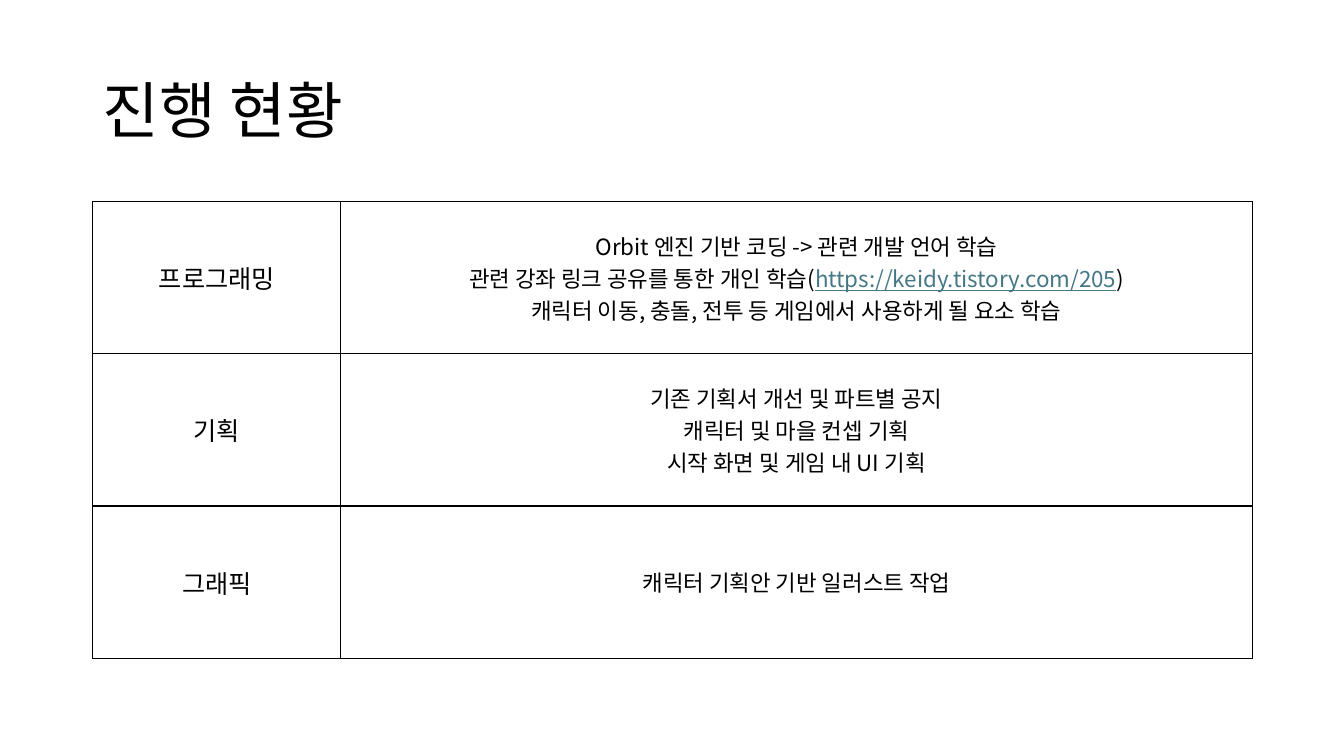
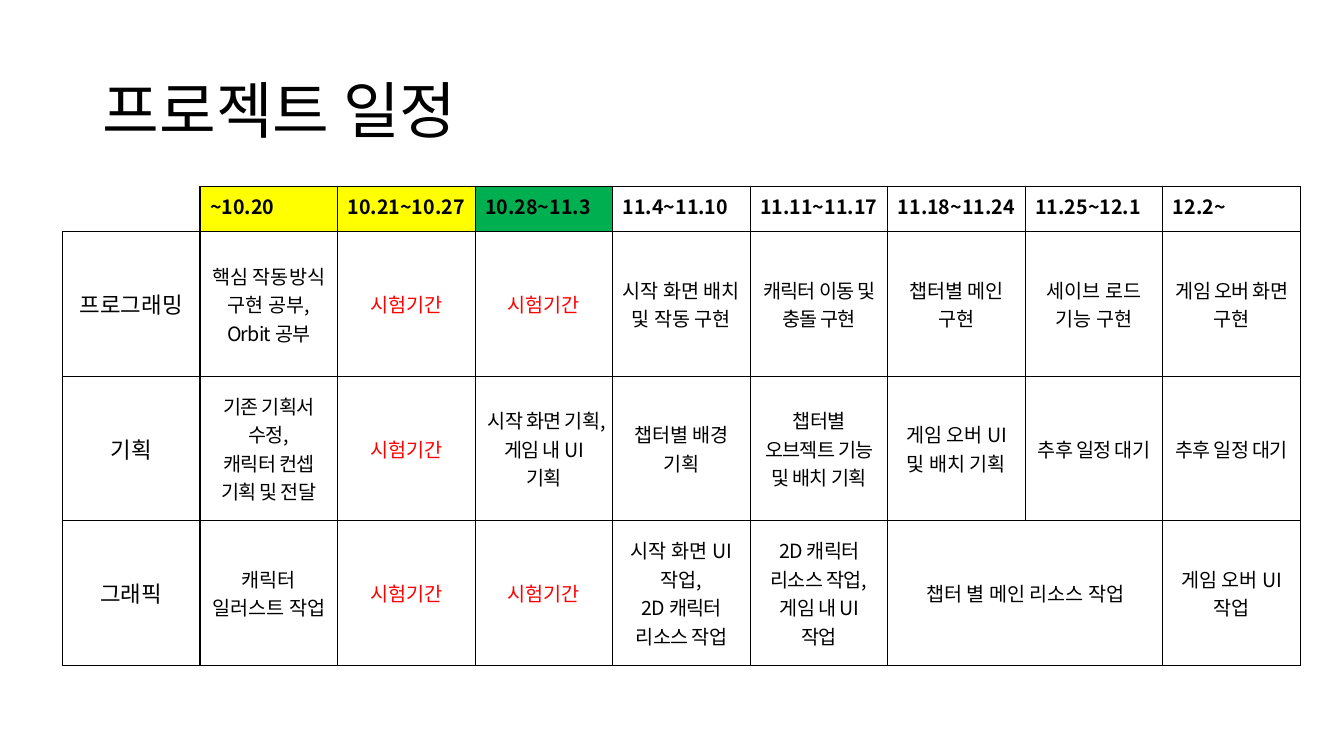
from lxml.etree import SubElement
from pptx import Presentation
from pptx.dml.color import RGBColor
from pptx.enum.text import MSO_ANCHOR as Anchor, PP_ALIGN as Align
from pptx.oxml.ns import qn
from pptx.util import Inches, Pt

FONT = "Noto Sans CJK KR"
BLACK, WHITE, RED = "000000", "FFFFFF", "FF0000"
YELLOW, GREEN, LINK = "FFFF00", "00B050", "467886"
MARGIN, CONTENT_WIDTH = 0.92, 11.5
TIGHT = -0.5


def write(frame, paragraphs, size=16, color=BLACK, bold=False, align=Align.CENTER, line=1.0):
    frame.word_wrap = True
    for index, runs in enumerate(paragraphs):
        paragraph = frame.paragraphs[0] if index == 0 else frame.add_paragraph()
        paragraph.alignment = align
        paragraph.line_spacing = line
        for text, changes in runs:
            run = paragraph.add_run()
            run.text = text
            run.font.size = Pt(size)
            run.font.bold = bold
            run.font.underline = changes.get("underline", False)
            run.font.name = FONT
            run.font.color.rgb = RGBColor.from_string(changes.get("color", color))
            properties = run._r.get_or_add_rPr()
            properties.set("spc", str(round(changes.get("spacing", 0) * 100)))
            SubElement(properties, qn("a:ea"), typeface=FONT)


def add_grid(slide, left, top, widths, heights):
    shape = slide.shapes.add_table(
        len(heights), len(widths), Inches(left), Inches(top),
        Inches(sum(widths)), Inches(sum(heights)))
    table = shape.table
    table.first_row = table.horz_banding = False
    for column, width in zip(table.columns, widths):
        column.width = Inches(width)
    for row, height in zip(table.rows, heights):
        row.height = Inches(height)
    for cell in table.iter_cells():
        cell.vertical_anchor = Anchor.MIDDLE
        for side in ("a:lnL", "a:lnR", "a:lnT", "a:lnB"):
            border = SubElement(cell._tc.get_or_add_tcPr(), qn(side), w=str(Pt(1)))
            SubElement(SubElement(border, qn("a:solidFill")), qn("a:srgbClr"), val=BLACK)
        cell.fill.solid()
        cell.fill.fore_color.rgb = RGBColor.from_string(WHITE)
    return table


presentation = Presentation()
presentation.slide_width = Inches(13.33)
presentation.slide_height = Inches(7.5)

slides = []
for title in ("진행 현황", "프로젝트 일정"):
    slide = presentation.slides.add_slide(presentation.slide_layouts[6])
    box = slide.shapes.add_textbox(
        Inches(MARGIN), Inches(0.4), Inches(CONTENT_WIDTH), Inches(1.45))
    box.text_frame.vertical_anchor = Anchor.MIDDLE
    write(box.text_frame, [[(title, {})]], size=44, align=Align.LEFT, line=0.9)
    slides.append(slide)
progress_slide, schedule_slide = slides

progress = [
    ("프로그래밍", [
        [("Orbit 엔진 기반 코딩 -> 관련 개발 언어 학습", {})],
        [("관련 강좌 링크 공유를 통한 개인 학습(", {}),
         ("https://keidy.tistory.com/205", {"color": LINK, "underline": True}),
         (")", {})],
        [("캐릭터 이동, 충돌, 전투 등 게임에서 사용하게 될 요소 학습", {})],
    ]),
    ("기획", [
        [("기존 기획서 개선 및 파트별 공지", {})],
        [("캐릭터 및 마을 컨셉 기획", {})],
        [("시작 화면 및 게임 내 UI 기획", {})],
    ]),
    ("그래픽", [[("캐릭터 기획안 기반 일러스트 작업", {})]]),
]
label_width = 2.46
progress_table = add_grid(
    progress_slide, MARGIN, 2, [label_width, CONTENT_WIDTH - label_width], [1.51] * 3)
for row, (part, details) in enumerate(progress):
    write(progress_table.cell(row, 0).text_frame, [[(part, {})]], size=18)
    write(progress_table.cell(row, 1).text_frame, details)

exam = [("시험기간", 0)]
waiting = [("추후 일정 대기", TIGHT)]
schedule = [
    ("프로그래밍", [
        [("핵심 작동방식 구현 공부,", 0), ("Orbit 공부", TIGHT)],
        exam,
        exam,
        [("시작 화면 배치 및 작동 구현", 0)],
        [("캐릭터 이동 및 충돌 구현", TIGHT)],
        [("챕터별 메인 구현", 0)],
        [("세이브 로드 기능 구현", 0)],
        [("게임 오버 화면 구현", TIGHT)],
    ]),
    ("기획", [
        [("기존 기획서 수정,", TIGHT), ("캐릭터 컨셉 기획 및 전달", TIGHT)],
        exam,
        [("시작 화면 기획,", TIGHT), ("게임 내 UI 기획", TIGHT)],
        [("챕터별 배경 기획", 0)],
        [("챕터별 오브젝트 기능 및 배치 기획", TIGHT)],
        [("게임 오버 UI 및 배치 기획", 0)],
        waiting,
        waiting,
    ]),
    ("그래픽", [
        [("캐릭터 일러스트 작업", 0)],
        exam,
        exam,
        [("시작 화면 UI 작업,", 0), ("2D 캐릭터 리소스 작업", TIGHT)],
        [("2D 캐릭터 리소스 작업,", TIGHT), ("게임 내 UI 작업", TIGHT)],
        [("챕터 별 메인 리소스 작업", 0)],
        [],
        [("게임 오버 UI 작업", 0)],
    ]),
]
weeks = [
    ("~10.20", YELLOW), ("10.21~10.27", YELLOW), ("10.28~11.3", GREEN),
    ("11.4~11.10", WHITE), ("11.11~11.17", WHITE), ("11.18~11.24", WHITE),
    ("11.25~12.1", WHITE), ("12.2~", WHITE),
]
schedule_left, schedule_top, header_height = 0.62, 2.3, 0.45
column_width = 12.28 / (len(weeks) + 1)

schedule_table = add_grid(
    schedule_slide, schedule_left, schedule_top,
    [column_width] * (len(weeks) + 1), [4.3 / len(schedule)] * len(schedule))
schedule_table.cell(2, 6).merge(schedule_table.cell(2, 7))
for row, (part, tasks) in enumerate(schedule):
    write(schedule_table.cell(row, 0).text_frame, [[(part, {})]])
    for column, task in enumerate(tasks, start=1):
        write(schedule_table.cell(row, column).text_frame,
              [[(text, {"spacing": spacing})] for text, spacing in task],
              size=14, color=RED if task is exam else BLACK)

week_table = add_grid(
    schedule_slide, schedule_left + column_width, schedule_top - header_height,
    [column_width] * len(weeks), [header_height])
for cell, (week, color) in zip(week_table.iter_cells(), weeks):
    cell.vertical_anchor = Anchor.TOP
    cell.fill.fore_color.rgb = RGBColor.from_string(color)
    write(cell.text_frame, [[(week, {})]], size=14, bold=True, align=Align.LEFT)

presentation.save("out.pptx")
